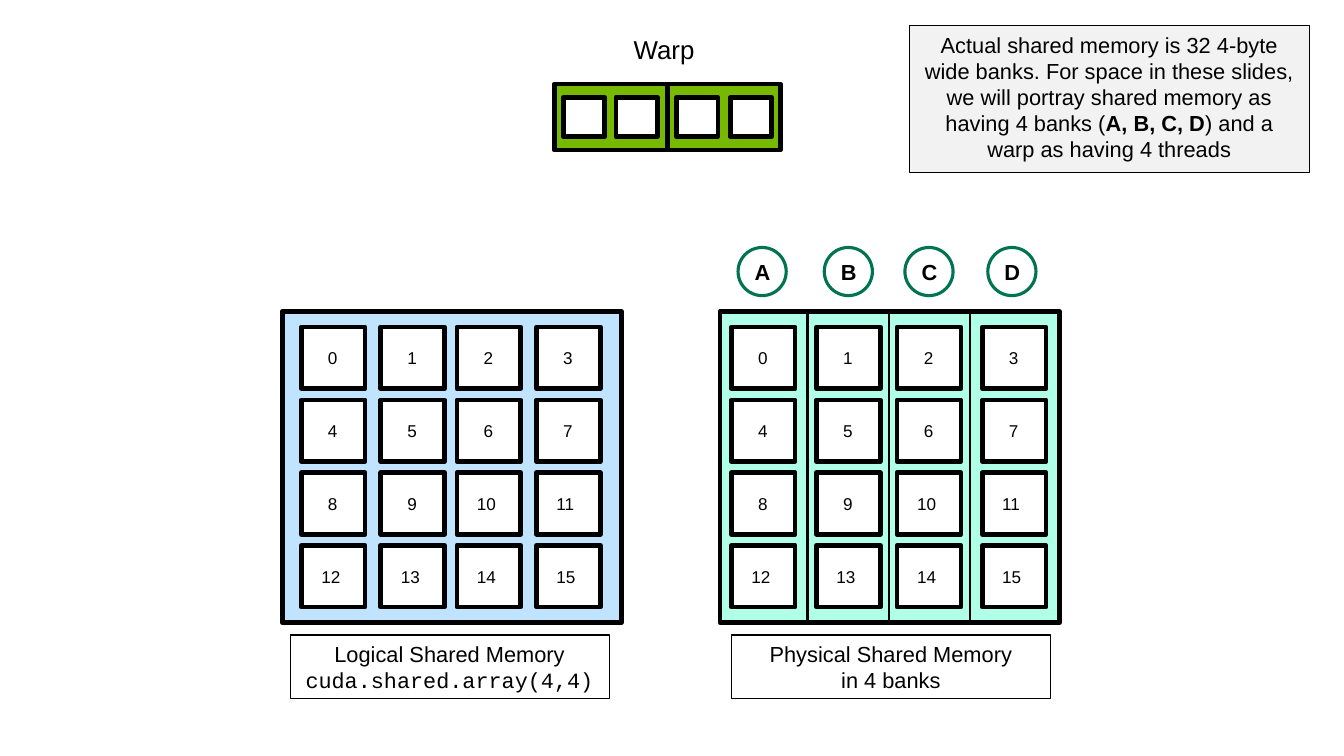
"""Build a slide comparing logical and physical shared memory with a four-thread warp."""
from lxml.etree import SubElement
from pptx import Presentation
from pptx.dml.color import RGBColor
from pptx.enum.shapes import MSO_CONNECTOR, MSO_SHAPE
from pptx.enum.text import MSO_ANCHOR, MSO_AUTO_SIZE, PP_ALIGN
from pptx.oxml.ns import qn
from pptx.util import Inches, Pt

COLORS = {"black": "000000", "white": "FFFFFF", "note": "F2F2F2", "logical": "C0E4FF",
          "physical": "B0FFE7", "bank": "007450", "warp": "76B900"}
NOTE = [("Actual shared memory is 32 4-byte wide banks. For space in these slides, "
         "we will portray shared memory as having 4 banks (", False),
        ("A, B, C, D", True),
        (") and a warp as having 4 threads", False)]
LOGICAL = {"fill": "logical", "left": 2.52, "columns": [2.69, 3.4, 4.08, 4.79],
           "caption_left": 2.59,
           "caption": [("Logical Shared Memory", "Arial"),
                       ("cuda.shared.array(4,4)", "Courier New")]}
PHYSICAL = {"fill": "physical", "left": 6.43, "columns": [6.53, 7.29, 8.01, 8.77],
            "caption_left": 6.53,
            "caption": [("Physical Shared Memory", "Arial"), ("in 4 banks", "Arial")]}
BANKS = [("A", 6.59), ("B", 7.36), ("C", 8.08), ("D", 8.82)]
DIVIDERS = [(7.21, 2.78), (7.94, 2.8), (8.66, 2.78)]
WARP_HALVES = [(4.95, [5.03, 5.5]), (5.96, [6.04, 6.52])]
GRID_TOP, ROW_TOP, ROW_STEP = 2.78, 2.92, 0.65


def color(name):
    return RGBColor.from_string(COLORS[name])


def add_box(parent, place, fill=None, line="black", weight=3, kind=MSO_SHAPE.RECTANGLE):
    box = parent.shapes.add_shape(kind, *map(Inches, place))
    box.shadow.inherit = False
    if fill:
        box.fill.solid()
        box.fill.fore_color.rgb = color(fill)
    else:
        box.fill.background()
    box.line.color.rgb = color(line)
    box.line.width = Pt(weight)
    return box


def style(paragraph, size, font="Arial", bold=None, align=None):
    paragraph.font.size = Pt(size)
    paragraph.font.name = font
    paragraph.font.bold = bold
    paragraph.font.color.rgb = color("black")
    paragraph.alignment = align


def add_label(parent, place, text, size, bold=None, wrap=True, anchor=MSO_ANCHOR.TOP):
    frame = parent.shapes.add_textbox(*map(Inches, place)).text_frame
    frame.word_wrap = wrap
    frame.auto_size = MSO_AUTO_SIZE.SHAPE_TO_FIT_TEXT
    frame.vertical_anchor = anchor
    frame.text = text
    style(frame.paragraphs[0], size, bold=bold)


def add_note(page):
    frame = add_box(page, (8.12, 0.23, 3.57, 1.31), "note", weight=0.75).text_frame
    frame.word_wrap = True
    frame.vertical_anchor = MSO_ANCHOR.TOP
    paragraph = frame.paragraphs[0]
    style(paragraph, 14, align=PP_ALIGN.CENTER)
    for text, bold in NOTE:
        span = paragraph.add_run()
        span.text = text
        span.font.bold = bold


def add_caption(parent, memory):
    box = add_box(parent, (memory["caption_left"], 5.67, 2.85, 0.57), weight=0.75)
    frame = box.text_frame
    frame.word_wrap = True
    frame.auto_size = MSO_AUTO_SIZE.SHAPE_TO_FIT_TEXT
    frame.vertical_anchor = MSO_ANCHOR.TOP
    frame.text = "\n".join(text for text, font in memory["caption"])
    for paragraph, (text, font) in zip(frame.paragraphs, memory["caption"]):
        style(paragraph, 14, font, align=PP_ALIGN.CENTER)


def add_grid(parent, memory):
    add_box(parent, (memory["left"], GRID_TOP, 3.03, 2.78), memory["fill"])
    for number in range(16):
        row, column = divmod(number, 4)
        left, top = memory["columns"][column], ROW_TOP + row * ROW_STEP
        inset, width = (0.14, 0.34) if number < 10 else (0.08, 0.48)
        add_box(parent, (left, top, 0.57, 0.55), "white")
        add_label(parent, (left + inset, top + 0.13, width, 0.29), str(number), 11,
                  anchor=MSO_ANCHOR.MIDDLE)


def add_divider(page, left, top):
    line = page.shapes.add_connector(MSO_CONNECTOR.STRAIGHT, Inches(left), Inches(top),
                                     Inches(left), Inches(top + 2.77))
    line.line.color.rgb = color("black")
    line.line.width = Pt(1.5)
    SubElement(line._element.spPr, qn("a:effectLst"))


def add_warp(page):
    group = page.shapes.add_group_shape()
    for left, threads in WARP_HALVES:
        add_box(group, (left, 0.75, 1.01, 0.59), "warp")
        for thread in threads:
            add_box(group, (thread, 0.87, 0.37, 0.35), "white")
    add_label(page, (5.56, 0.25, 0.95, 0.38), "Warp", 16.6)


def main():
    deck = Presentation()
    deck.slide_width, deck.slide_height = Inches(12), Inches(6.75)
    page = deck.slides.add_slide(deck.slide_layouts[6])
    add_note(page)
    logical_group = page.shapes.add_group_shape()
    add_caption(logical_group, LOGICAL)
    add_grid(logical_group, LOGICAL)
    add_grid(page, PHYSICAL)
    for left, top in DIVIDERS:
        add_divider(page, left, top)
    add_caption(page, PHYSICAL)
    for name, left in BANKS:
        add_box(page, (left, 2.21, 0.43, 0.43), line="bank", weight=2, kind=MSO_SHAPE.OVAL)
        add_label(page, (left + 0.05, 2.26, 0.34, 0.34), name, 14, bold=True, wrap=False)
    add_warp(page)
    deck.save("out.pptx")


if __name__ == "__main__":
    main()
